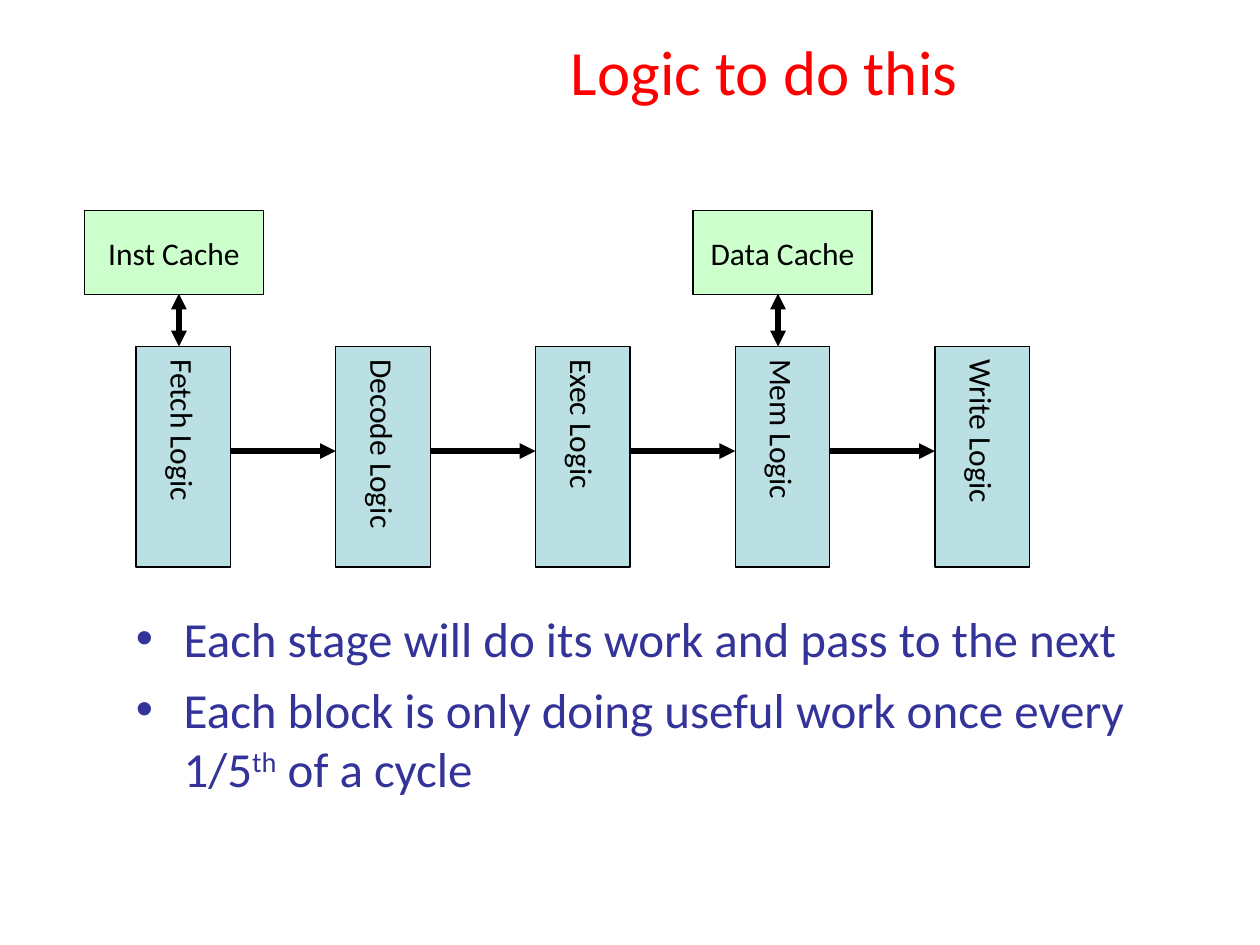
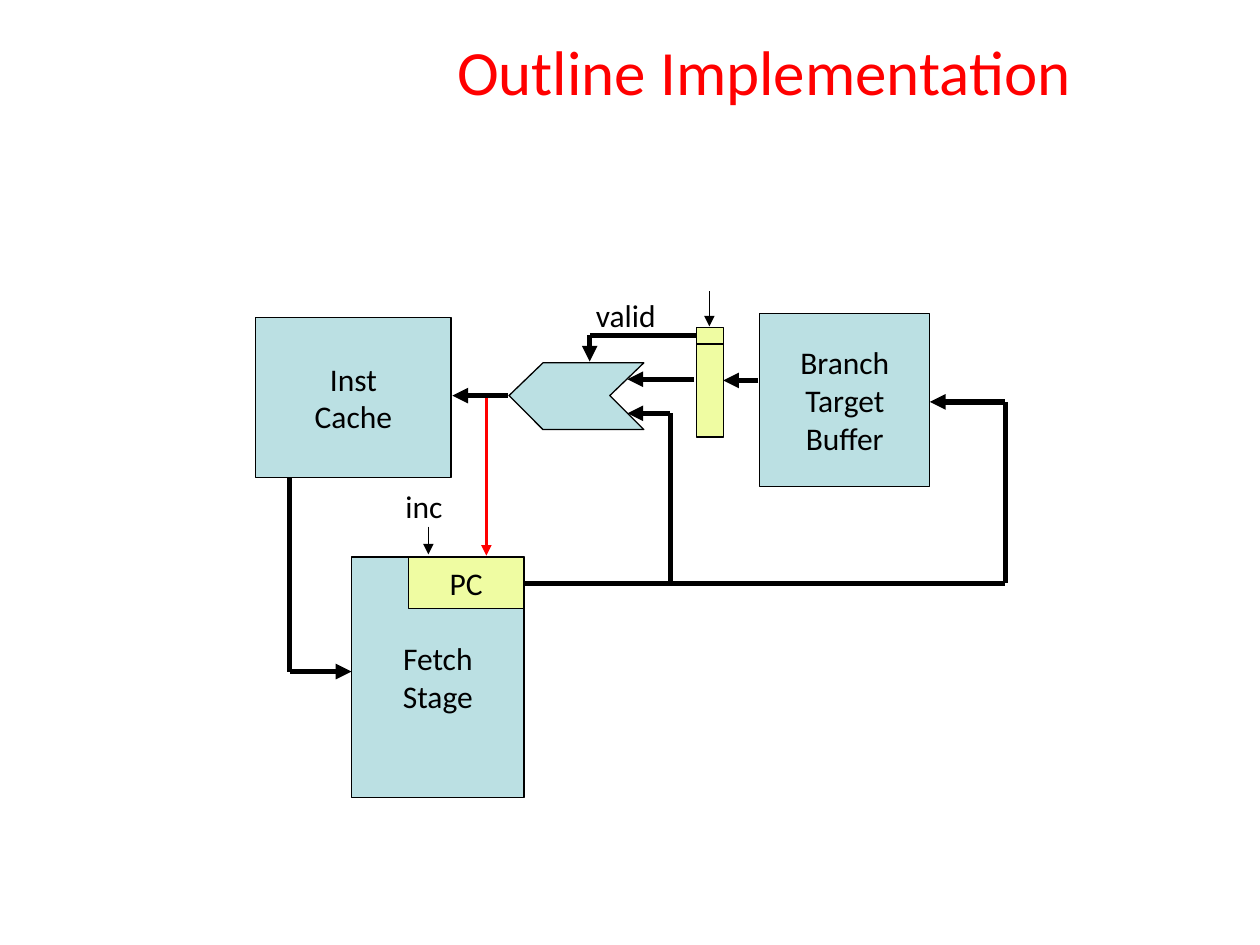
import dataclasses
import itertools

import lxml.etree
import pptx
import pptx.dml.color
import pptx.enum.shapes
import pptx.enum.text
import pptx.oxml.ns
import pptx.util

Inches = pptx.util.Inches
Pt = pptx.util.Pt
qn = pptx.oxml.ns.qn
ALIGN = pptx.enum.text.PP_ALIGN
ANCHOR = pptx.enum.text.MSO_ANCHOR

FONT = "Calibri"
COLORS = {
    "title": "FF0000",
    "body": "333399",
    "ink": "000000",
    "logic": "BBE0E3",
    "cache": "CCFFCC",
    "register": "EFFCA2",
    "update": "FF0000",
}


def rgb(name):
    return pptx.dml.color.RGBColor.from_string(COLORS[name])


def add_run(paragraph, text, size, color, superscript=False):
    run = paragraph.add_run()
    run.text = text
    run.font.name = FONT
    run.font.size = Pt(size)
    run.font.color.rgb = rgb(color)
    if superscript:
        run.font._element.set("baseline", "30000")


def add_lines(frame, lines, size, color, align):
    """Put each line in a paragraph of its own."""
    for number, line in enumerate(lines):
        paragraph = frame.add_paragraph() if number else frame.paragraphs[0]
        paragraph.alignment = align
        add_run(paragraph, line, size, color)


def outline(shape, fill):
    shape.shadow.inherit = False
    shape.fill.solid()
    shape.fill.fore_color.rgb = rgb(fill)
    shape.line.color.rgb = rgb("ink")
    shape.line.width = Pt(0.75)


@dataclasses.dataclass
class Region:
    """Part of a slide; its parts are placed in inches from its top left."""
    slide: object
    left: float
    top: float

    def at(self, x, y):
        return Inches(self.left + x), Inches(self.top + y)

    def block(self, x, y, width, height, fill, lines=(), vertical=False):
        shape = self.slide.shapes.add_shape(
            pptx.enum.shapes.MSO_SHAPE.RECTANGLE,
            *self.at(x, y), Inches(width), Inches(height))
        outline(shape, fill)
        frame = shape.text_frame
        frame.word_wrap = vertical
        frame.vertical_anchor = ANCHOR.MIDDLE
        if vertical:
            frame._txBody.bodyPr.set("vert", "eaVert")
            frame.margin_left = frame.margin_right = Inches(0.05)
            frame.margin_top = frame.margin_bottom = Inches(0.1)
        add_lines(frame, lines, 18, "ink", ALIGN.CENTER)

    def label(self, x, y, width, text):
        box = self.slide.shapes.add_textbox(
            *self.at(x, y), Inches(width), Inches(0.4))
        box.text_frame.word_wrap = False
        add_lines(box.text_frame, [text], 18, "ink", ALIGN.LEFT)

    def polygon(self, points, fill):
        start, *rest = [self.at(*point) for point in points]
        builder = self.slide.shapes.build_freeform(*start)
        builder.add_line_segments(rest, close=True)
        outline(builder.convert_to_shape(), fill)

    def wire(self, *points, width=3, color="ink", both_ends=False):
        """Join the points by straight lines, with an arrow at the last."""
        for start, end in itertools.pairwise(points):
            line = self.slide.shapes.add_connector(
                pptx.enum.shapes.MSO_CONNECTOR.STRAIGHT,
                *self.at(*start), *self.at(*end))
            line.line.color.rgb = rgb(color)
            line.line.width = Pt(width)
            properties = line._element.spPr
            if both_ends:
                lxml.etree.SubElement(
                    properties.find(qn("a:ln")), qn("a:headEnd"), type="triangle")
            if end == points[-1]:
                lxml.etree.SubElement(
                    properties.find(qn("a:ln")), qn("a:tailEnd"), type="triangle")
            lxml.etree.SubElement(properties, qn("a:effectLst"))


def new_slide(deck, title):
    slide = deck.slides.add_slide(deck.slide_layouts[6])
    box = slide.shapes.add_textbox(
        Inches(2.64), Inches(0.13), Inches(6.85), Inches(0.86))
    box.text_frame.word_wrap = True
    box.text_frame.vertical_anchor = ANCHOR.MIDDLE
    add_lines(box.text_frame, [title], 36, "title", ALIGN.CENTER)
    return slide


def add_bullet(paragraph):
    properties = paragraph._p.get_or_add_pPr()
    properties.set("marL", str(Inches(0.38)))
    properties.set("indent", str(-Inches(0.38)))
    color = lxml.etree.SubElement(properties, qn("a:buClr"))
    lxml.etree.SubElement(color, qn("a:srgbClr"), val=COLORS["body"])
    lxml.etree.SubElement(properties, qn("a:buFont"), typeface="Arial")
    lxml.etree.SubElement(properties, qn("a:buChar"), char="•")


def stage_notes(slide, left, top):
    notes = [
        [("Each stage will do its work and pass to the next", False)],
        [("Each block is only doing useful work once every 1/5", False),
         ("th", True), (" of a cycle", False)],
    ]
    frame = slide.shapes.add_textbox(
        Inches(left), Inches(top), Inches(8.52), Inches(2.2)).text_frame
    frame.word_wrap = True
    for number, note in enumerate(notes):
        paragraph = frame.add_paragraph() if number else frame.paragraphs[0]
        add_bullet(paragraph)
        if number:
            paragraph.space_before = Pt(7)
        for text, superscript in note:
            add_run(paragraph, text, 28, "body", superscript)


def pipeline(slide, left, top):
    """Five stages in a row, with the caches above two of them."""
    region = Region(slide, left, top)
    stages = ["Fetch", "Decode", "Exec", "Mem", "Write"]
    stage_width, row_width, arrow_y = 0.75, 7.09, 0.83
    pitch = (row_width - stage_width) / (len(stages) - 1)
    for number, stage in enumerate(stages):
        x = number * pitch
        region.block(x, 0, stage_width, 1.75, "logic", [f"{stage} Logic"], vertical=True)
        if number:
            region.wire((x - pitch + stage_width, arrow_y), (x, arrow_y))
    for cache, stage, cache_x in [("Inst", "Fetch", -0.41), ("Data", "Mem", 4.42)]:
        region.block(cache_x, -1.08, 1.42, 0.67, "cache", [f"{cache} Cache"])
        port_x = stages.index(stage) * pitch + 0.34
        region.wire((port_x, -0.42), (port_x, 0), both_ends=True)


def fetch_path(slide, left, top):
    """Instruction cache feeding the fetch stage that holds the PC."""
    region = Region(slide, left, top)
    region.block(0, 0, 1.55, 1.27, "logic", ["Inst", "Cache"])
    region.block(0.76, 1.9, 1.37, 1.91, "logic", ["Fetch", "Stage"])
    region.block(1.21, 1.9, 0.92, 0.41, "register", ["PC"])
    region.wire((0.27, 1.27), (0.27, 2.81), (0.76, 2.81))
    region.wire((2, 0.62), (1.56, 0.62))
    region.wire((1.83, 0.64), (1.83, 1.89), width=2, color="update")
    region.label(1.09, 1.3, 0.6, "inc")
    region.wire((1.37, 1.66), (1.37, 1.88), width=0.25)


def branch_prediction(slide, left, top):
    """Branch target buffer, its output entry and the next-address selector."""
    region = Region(slide, left, top)
    region.polygon([(1.07, 0.58), (0.27, 0.58), (0, 0.84),
                    (0.27, 1.11), (1.07, 1.11), (0.8, 0.84)], "logic")
    region.block(1.99, 0.19, 1.35, 1.37, "logic", ["Branch", "Target", "Buffer"])
    region.block(1.49, 0.43, 0.21, 0.74, "register")
    region.block(1.49, 0.3, 0.21, 0.13, "register")
    # Current PC to the buffer and to the selector
    region.wire((0.12, 2.33), (3.94, 2.33), (3.94, 0.89), (3.34, 0.89))
    region.wire((1.28, 2.33), (1.28, 0.98), (0.94, 0.98))
    # Predicted target and its valid bit
    region.wire((1.98, 0.72), (1.7, 0.72))
    region.wire((1.47, 0.71), (0.94, 0.71))
    region.wire((1.49, 0.36), (0.64, 0.36), (0.64, 0.57))
    region.label(0.59, 0, 0.72, "valid")
    region.wire((1.59, 0.01), (1.59, 0.29), width=0.75)


def main():
    deck = pptx.Presentation()
    deck.slide_width, deck.slide_height = Inches(10), Inches(7.5)

    logic = new_slide(deck, "Logic to do this")
    stage_notes(logic, 0.98, 4.78)
    pipeline(logic, 1.08, 2.75)

    implementation = new_slide(deck, "Outline Implementation")
    fetch_path(implementation, 2.03, 2.52)
    branch_prediction(implementation, 4.04, 2.3)

    deck.save("out.pptx")


if __name__ == "__main__":
    main()
